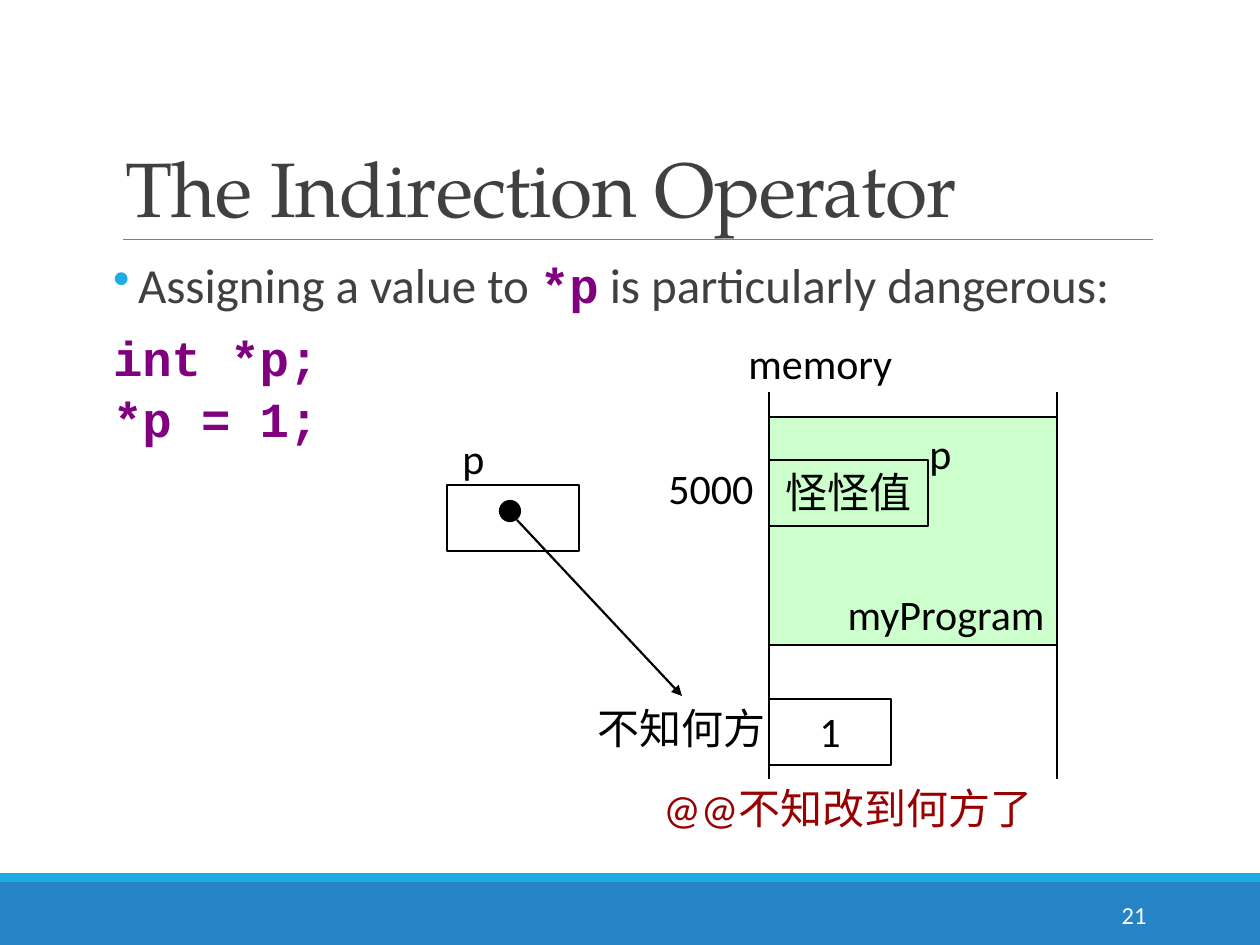
from dataclasses import dataclass
from typing import Optional

from lxml.etree import SubElement
from pptx import Presentation
from pptx.dml.color import RGBColor
from pptx.enum.shapes import MSO_CONNECTOR, MSO_SHAPE
from pptx.enum.text import MSO_ANCHOR, MSO_AUTO_SIZE, PP_ALIGN
from pptx.oxml.ns import qn
from pptx.util import Emu, Pt

EMU_PER_INCH = 914400
PX_PER_INCH = 126


@dataclass(frozen=True)
class Theme:
    heading_font: str = "TeX Gyre Pagella"
    body_font: str = "Calibri"
    code_font: str = "Courier New"
    black: str = "000000"
    white: str = "FFFFFF"
    text: str = "404040"
    code: str = "800080"
    warning: str = "990000"
    program: str = "CCFFCC"
    rule: str = "808080"
    accent: str = "1CADE4"
    footer: str = "2683C6"
    title_size: int = 44
    body_size: int = 28
    label_size: int = 24
    number_size: int = 14
    line_width: float = 1.25
    rule_width: float = 0.5


THEME = Theme()


@dataclass(frozen=True)
class Box:
    left: int
    top: int
    width: int
    height: int
    text: str = ""
    fill: Optional[str] = None
    outline: Optional[str] = THEME.black
    kind: MSO_SHAPE = MSO_SHAPE.RECTANGLE
    align: PP_ALIGN = PP_ALIGN.CENTER
    anchor: MSO_ANCHOR = MSO_ANCHOR.TOP
    wrap: bool = True
    grow: bool = True


@dataclass(frozen=True)
class Label:
    left: int
    top: int
    width: int
    text: str
    color: str = THEME.black
    height: int = 63


@dataclass(frozen=True)
class Line:
    start: tuple[int, int]
    end: tuple[int, int]
    color: str = THEME.black
    width: float = THEME.line_width
    arrow: bool = False


@dataclass(frozen=True)
class CodeLine:
    text: str
    space_before: int


MEMORY_LEFT, MEMORY_RIGHT = 769, 1057
MEMORY_TOP, MEMORY_BOTTOM = 392, 779
CELL_HEIGHT = 66

FOOTER_BANDS = [
    Box(0, 882, 1260, 63, fill=THEME.footer, outline=None),
    Box(0, 873, 1260, 9, fill=THEME.accent, outline=None),
]
TITLE_RULE = Line((123, 239), (1153, 239), THEME.rule, THEME.rule_width)
PROGRAM = Box(MEMORY_LEFT, 417, MEMORY_RIGHT - MEMORY_LEFT, 228, "myProgram", THEME.program,
              align=PP_ALIGN.RIGHT, anchor=MSO_ANCHOR.BOTTOM, wrap=False, grow=False)
MEMORY_EDGES = [Line((x, MEMORY_TOP), (x, MEMORY_BOTTOM)) for x in (MEMORY_LEFT, MEMORY_RIGHT)]
CELLS = [
    Box(MEMORY_LEFT, 460, 159, CELL_HEIGHT, "怪怪值"),
    Box(447, 485, 132, CELL_HEIGHT),
    Box(500, 501, 20, 20, fill=THEME.black, kind=MSO_SHAPE.FLOWCHART_CONNECTOR),
    Box(MEMORY_LEFT, 699, 122, CELL_HEIGHT, "1", THEME.white),
]
POINTER = Line((517, 520), (682, 696), arrow=True)
LABELS = [
    Label(736, 331, 178, "memory"),
    Label(656, 456, 111, "5000"),
    Label(585, 696, 193, "不知何方"),
    Label(917, 421, 48, "p"),
    Label(450, 426, 48, "p"),
    Label(651, 776, 404, "@@不知改到何方了", THEME.warning),
]
CODE = [CodeLine("int *p;", 12), CodeLine("*p = 1;", 6)]


def px(value: int) -> Emu:
    return Emu(round(value * EMU_PER_INCH / PX_PER_INCH))


def format_run(run, size: int, color: str, font: str = THEME.body_font, bold: bool = False) -> None:
    run.font.size = Pt(size)
    run.font.name = font
    run.font.bold = bold
    run.font.color.rgb = RGBColor.from_string(color)


def add_box(slide, box: Box) -> None:
    shape = slide.shapes.add_shape(
        box.kind, px(box.left), px(box.top), px(box.width), px(box.height))
    shape.shadow.inherit = False
    if box.fill:
        shape.fill.solid()
        shape.fill.fore_color.rgb = RGBColor.from_string(box.fill)
    else:
        shape.fill.background()
    if box.outline:
        shape.line.color.rgb = RGBColor.from_string(box.outline)
        shape.line.width = Pt(THEME.line_width)
    else:
        shape.line.fill.background()
    if box.text:
        frame = shape.text_frame
        frame.text = box.text
        frame.word_wrap = box.wrap
        frame.vertical_anchor = box.anchor
        frame.auto_size = MSO_AUTO_SIZE.SHAPE_TO_FIT_TEXT if box.grow else MSO_AUTO_SIZE.NONE
        frame.paragraphs[0].alignment = box.align
        format_run(frame.paragraphs[0].runs[0], THEME.label_size, THEME.black)


def add_line(slide, line: Line) -> None:
    connector = slide.shapes.add_connector(
        MSO_CONNECTOR.STRAIGHT, *map(px, line.start), *map(px, line.end))
    connector.line.color.rgb = RGBColor.from_string(line.color)
    connector.line.width = Pt(line.width)
    if line.arrow:
        SubElement(connector.line._get_or_add_ln(), qn("a:tailEnd"), type="triangle")
    SubElement(connector._element.spPr, qn("a:effectLst"))


def add_text_frame(slide, left: int, top: int, width: int, height: int, wrap: bool = True):
    shape = slide.shapes.add_textbox(px(left), px(top), px(width), px(height))
    shape.text_frame.word_wrap = wrap
    return shape.text_frame


def add_label(slide, label: Label) -> None:
    frame = add_text_frame(slide, label.left, label.top, label.width, label.height, wrap=False)
    frame.text = label.text
    frame.auto_size = MSO_AUTO_SIZE.SHAPE_TO_FIT_TEXT
    format_run(frame.paragraphs[0].runs[0], THEME.label_size, label.color)


def add_title(slide) -> None:
    frame = add_text_frame(slide, 113, 39, 1040, 200)
    frame.text = "The Indirection Operator"
    frame.vertical_anchor = MSO_ANCHOR.BOTTOM
    paragraph = frame.paragraphs[0]
    paragraph.line_spacing = 0.85
    run = paragraph.runs[0]
    format_run(run, THEME.title_size, THEME.text, THEME.heading_font)
    run.font._element.set("spc", "-50")


def format_paragraph(paragraph, line_spacing: float, space_before: int):
    paragraph.line_spacing = line_spacing
    paragraph.space_before = Pt(space_before)
    paragraph.space_after = Pt(2)
    properties = paragraph._element.get_or_add_pPr()
    properties.set("marL", str(px(25)))
    properties.set("indent", str(px(-25)))
    return properties


def add_body(slide) -> None:
    frame = add_text_frame(slide, 113, 255, 1040, 554)
    frame.margin_left = frame.margin_right = 0
    paragraph = frame.paragraphs[0]
    properties = format_paragraph(paragraph, 0.9, 12)
    bullet_color = SubElement(properties, qn("a:buClr"))
    SubElement(bullet_color, qn("a:srgbClr"), val=THEME.accent)
    SubElement(properties, qn("a:buChar"), char="•")
    for text, is_code in (("Assigning a value to ", False), ("*p", True),
                          (" is particularly dangerous:", False)):
        run = paragraph.add_run()
        run.text = text
        color, font = (THEME.code, THEME.code_font) if is_code else (THEME.text, THEME.body_font)
        format_run(run, THEME.body_size, color, font, bold=is_code)
    for line in CODE:
        paragraph = frame.add_paragraph()
        paragraph.text = line.text
        format_paragraph(paragraph, 0.8, line.space_before)
        format_run(paragraph.runs[0], THEME.body_size, THEME.code, THEME.code_font, bold=True)


def add_slide_number(slide) -> None:
    frame = add_text_frame(slide, 1023, 890, 136, 50)
    frame.text = "21"
    frame.vertical_anchor = MSO_ANCHOR.MIDDLE
    frame.paragraphs[0].alignment = PP_ALIGN.RIGHT
    format_run(frame.paragraphs[0].runs[0], THEME.number_size, THEME.white)


def main() -> None:
    presentation = Presentation()
    presentation.slide_width, presentation.slide_height = px(1260), px(945)
    slide = presentation.slides.add_slide(presentation.slide_layouts[6])
    for band in FOOTER_BANDS:
        add_box(slide, band)
    add_line(slide, TITLE_RULE)
    add_title(slide)
    add_body(slide)
    add_slide_number(slide)
    add_box(slide, PROGRAM)
    for line in (*MEMORY_EDGES, POINTER):
        add_line(slide, line)
    for cell in CELLS:
        add_box(slide, cell)
    for label in LABELS:
        add_label(slide, label)
    presentation.save("out.pptx")


if __name__ == "__main__":
    main()
